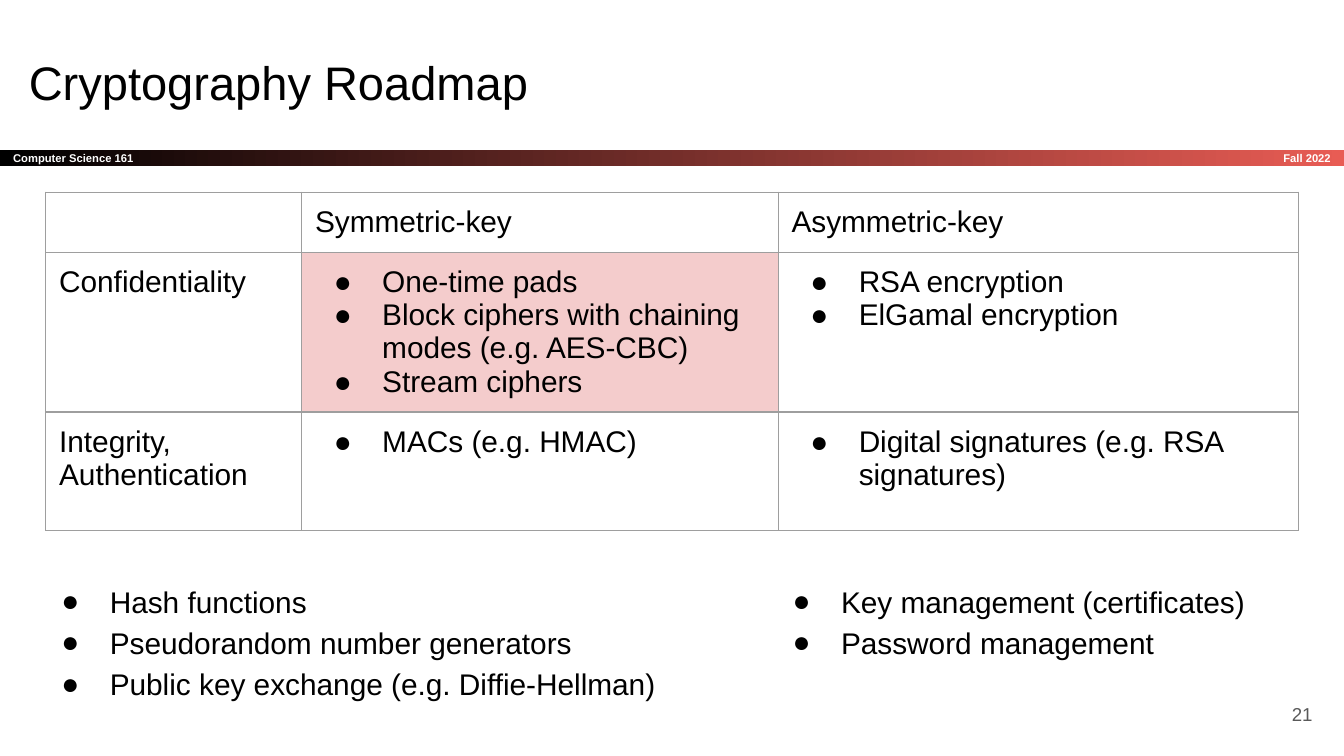
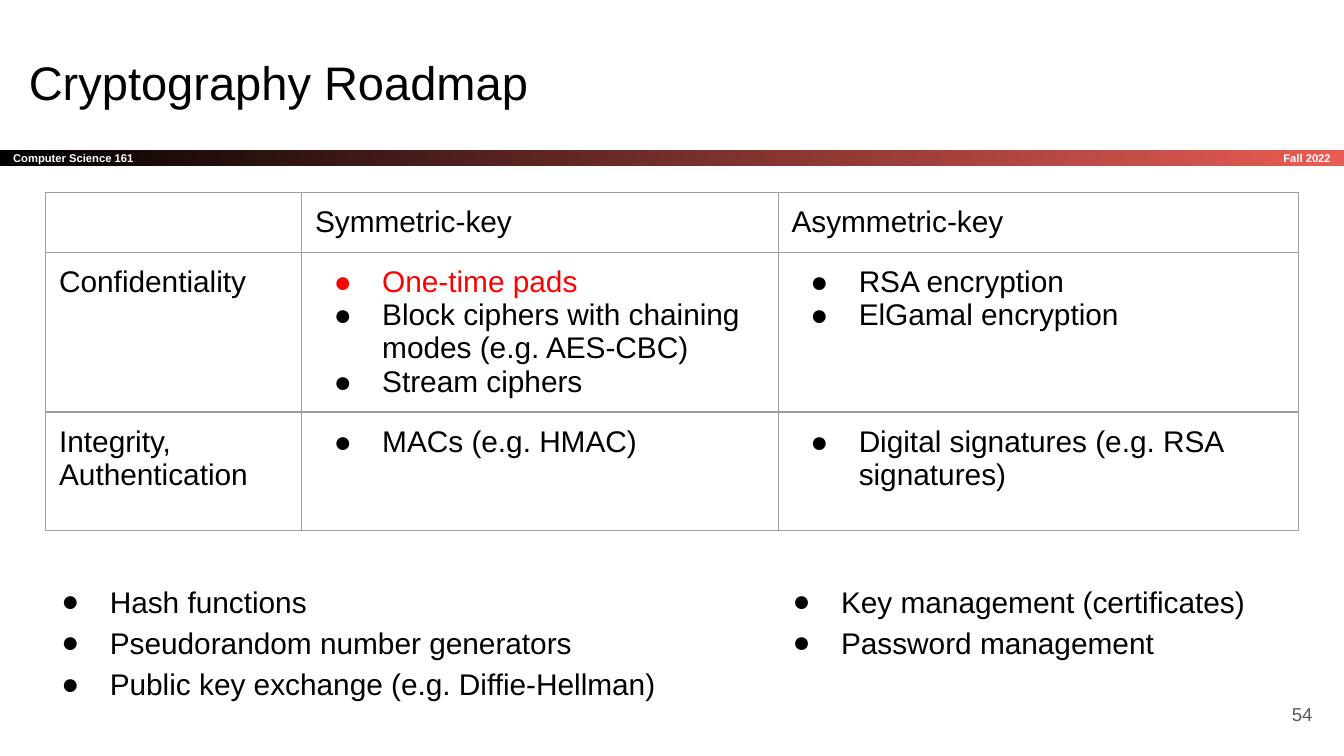
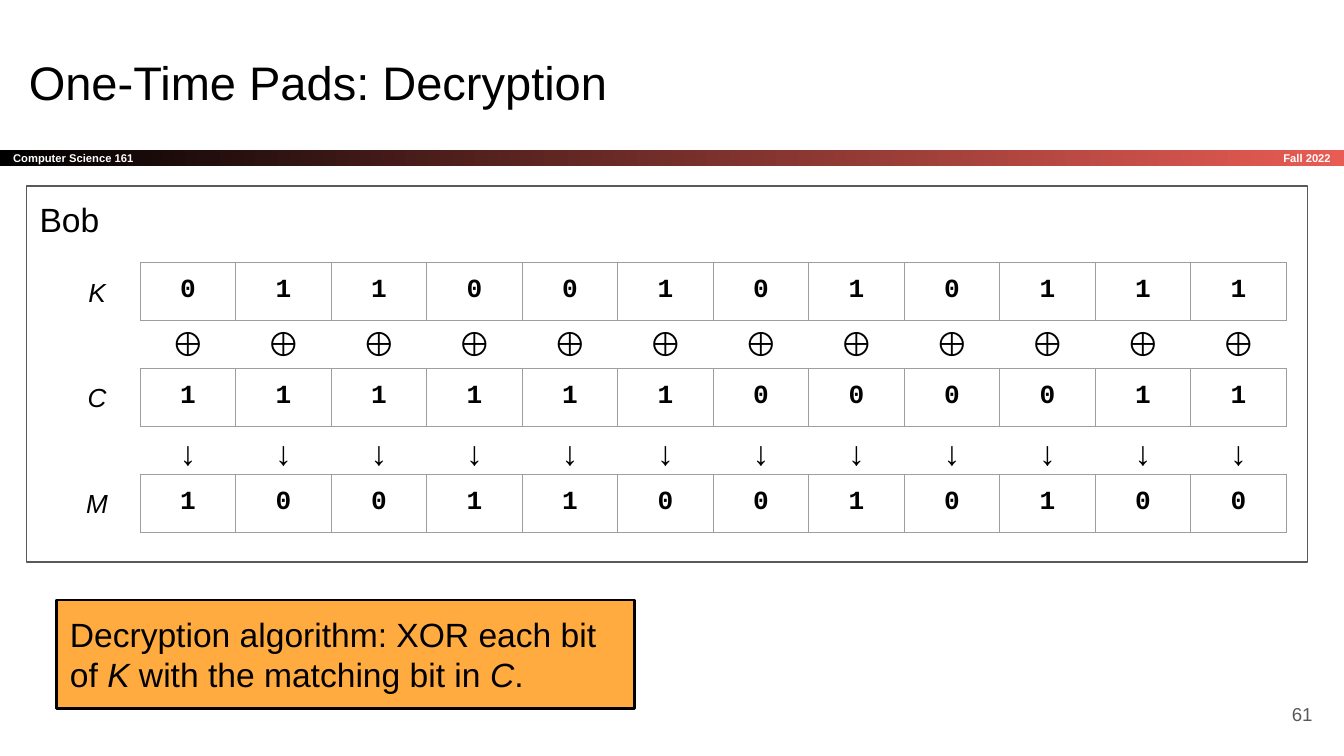
import lxml.etree
import pptx
import pptx.dml.color
import pptx.enum.shapes
import pptx.enum.text
import pptx.oxml.ns
import pptx.util

rgb = pptx.dml.color.RGBColor.from_string
qn = pptx.oxml.ns.qn
Pt = pptx.util.Pt
ALIGN = pptx.enum.text.PP_ALIGN
ANCHOR = pptx.enum.text.MSO_ANCHOR
FIT = pptx.enum.text.MSO_AUTO_SIZE
RECTANGLE = pptx.enum.shapes.MSO_SHAPE.RECTANGLE

BLACK, WHITE, GREY, RULE = "000000", "FFFFFF", "595959", "9E9E9E"
CORAL, RED, PINK, ORANGE = "E85C54", "FF0000", "F4CCCC", "FFAB40"
PLAIN_TABLE = "{2D5ABB26-0587-4C30-8999-92F81FD0307C}"

TITLE = {"name": "Arial", "size": Pt(25.2)}
BAND = {"name": "Arial", "size": Pt(6), "bold": True}
PAGE = {"name": "Arial", "size": Pt(10)}
LIST = {"name": "Arial", "size": Pt(16)}
LABEL = {"name": "Arial", "size": Pt(14)}
NOTE = {"name": "Arial", "size": Pt(18)}
BIT = {"name": "Courier New", "size": Pt(14), "bold": True}

deck = pptx.Presentation()
deck.slide_width = pptx.util.Inches(10)
deck.slide_height = deck.slide_width * 9 // 16
unit = deck.slide_width // 100


def write(holder, paragraphs, face, at=None, ink=BLACK, anchor=ANCHOR.TOP, fit=FIT.NONE,
          bullets=False, hot=(), italics=(), **spacing):
    frame = holder.text_frame
    if at:
        for side, length in zip(("left", "top", "width", "height"), at):
            setattr(holder, side, int(length * unit))
        frame.word_wrap = True
        frame.auto_size = fit
    padded = frame if at else holder
    padded.vertical_anchor = anchor
    for side in ("left", "top", "right", "bottom"):
        setattr(padded, f"margin_{side}", unit)
    for index, runs in enumerate(paragraphs):
        paragraph = frame.add_paragraph() if index else frame.paragraphs[0]
        colour = RED if runs[0] in hot else ink
        if bullets:
            properties = paragraph._p.get_or_add_pPr()
            properties.set("marL", str(5 * unit))
            properties.set("indent", str(int(-3.6 * unit)))
            bullet_colour = lxml.etree.SubElement(properties, qn("a:buClr"))
            lxml.etree.SubElement(bullet_colour, qn("a:srgbClr"), val=colour)
            lxml.etree.SubElement(properties, qn("a:buFont"), typeface="Arial")
            lxml.etree.SubElement(properties, qn("a:buChar"), char="●")
        layout = {"alignment": ALIGN.LEFT, "space_before": Pt(0), **spacing}
        for attribute, value in layout.items():
            setattr(paragraph, attribute, value)
        for text in runs:
            if text == "\n":
                paragraph.add_line_break()
                continue
            run = paragraph.add_run()
            run.text = text
            run.font.color.rgb = rgb(colour)
            for attribute, value in {**face, "italic": text in italics}.items():
                setattr(run.font, attribute, value)


def add_grid(slide, at, columns, rows, ruled=True):
    lengths = [int(length * unit) for length in at]
    holder = slide.shapes.add_table(len(rows), len(columns), *lengths)
    grid = holder.table
    grid.first_row = grid.horz_banding = False
    grid._tbl.tblPr.find(qn("a:tableStyleId")).text = PLAIN_TABLE
    for column, width in zip(grid.columns, columns):
        column.width = int(width * unit)
    for row, height in zip(grid.rows, rows):
        row.height = int(height * unit)
    holder.width, holder.height = lengths[2:]
    for cell in grid.iter_cells():
        if ruled:
            for edge in ("lnL", "lnR", "lnT", "lnB"):
                line = lxml.etree.SubElement(cell._tc.get_or_add_tcPr(), qn(f"a:{edge}"), w=str(Pt(0.75)))
                paint = lxml.etree.SubElement(line, qn("a:solidFill"))
                lxml.etree.SubElement(paint, qn("a:srgbClr"), val=RULE)
        cell.fill.background()
    return grid


slides = [deck.slides.add_slide(deck.slide_layouts[index]) for index in (1, 1, 5)]
titles = ["Cryptography Roadmap", "Cryptography Roadmap", "One-Time Pads: Decryption"]

course = slides[0].shapes.add_shape(RECTANGLE, 0, 0, 0, 0)
course.shadow.inherit = False
course.line.fill.background()
course.fill.gradient()
course.fill.gradient_angle = 0
for stop, colour in zip(course.fill.gradient_stops, (BLACK, CORAL)):
    stop.color.rgb = rgb(colour)
term = slides[0].shapes.add_textbox(0, 0, 0, 0)
write(course, [["Computer Science 161"]], BAND, (0, 11.15, 100, 1.2), WHITE, ANCHOR.MIDDLE)
write(term, [["Fall 2022"]], BAND, (83.4, 11.15, 16.6, 1.2), WHITE, ANCHOR.MIDDLE, alignment=ALIGN.RIGHT)
for number, part in enumerate((course, term), 20):
    part.element.nvSpPr.cNvPr.set("id", str(number))
    deck.slide_master.shapes.element.append(part.element)

for slide, title, page in zip(slides, titles, ("21", "54", "61")):
    write(slide.shapes.title, [[title]], TITLE, (1.14, 3, 93.2, 6.3))
    write(slide.shapes.add_textbox(0, 0, 0, 0), [[page]], PAGE, (92.65, 51, 6, 4.3), GREY,
          ANCHOR.MIDDLE, alignment=ALIGN.RIGHT)

roadmap = [
    [[], [["Symmetric-key"]], [["Asymmetric-key"]]],
    [[["Confidentiality"]],
     [["One-time pads"], ["Block ciphers with chaining modes (e.g. AES-CBC)"], ["Stream ciphers"]],
     [["RSA encryption"], ["ElGamal encryption"]]],
    [[["Integrity,", "\n", "Authentication"]],
     [["MACs (e.g. HMAC)"]],
     [["Digital signatures (e.g. RSA signatures)"]]],
]
primitives = [["Hash functions"], ["Pseudorandom number generators"],
              ["Public key exchange (e.g. Diffie-Hellman)"]]
management = [["Key management (certificates)"], ["Password management"]]

for slide, highlight, hot in zip(slides, (PINK, None), ((), ("One-time pads",))):
    schemes = add_grid(slide, (3.4, 14.3, 93.2, 26.1), (19.04, 35.46, 38.7), (4.1, 8.8, 8.8))
    for row, goals in enumerate(roadmap):
        for column, entries in enumerate(goals):
            write(schemes.cell(row, column), entries, LIST, bullets=row > 0 and column > 0, hot=hot)
    corner = schemes.cell(0, 0).text_frame.paragraphs[0]
    corner_face = lxml.etree.SubElement(corner._p, qn("a:endParaRPr"), sz="1600")
    lxml.etree.SubElement(corner_face, qn("a:latin"), typeface="Arial")
    if highlight:
        confidential = schemes.cell(1, 1)
        confidential.fill.solid()
        confidential.fill.fore_color.rgb = rgb(highlight)
    write(slide.placeholders[1], primitives, LIST, (2.17, 42.03, 47.8, 12.8), bullets=True, line_spacing=1.15)
    write(slide.shapes.add_textbox(0, 0, 0, 0), management, LIST, (56.6, 42.03, 37.7, 7.8),
          fit=FIT.SHAPE_TO_FIT_TEXT, bullets=True, line_spacing=1.15)

decryption = slides[2]
bob = decryption.shapes.add_shape(RECTANGLE, *[int(length * unit) for length in (1.96, 13.83, 95.35, 28)])
bob.shadow.inherit = False
bob.fill.background()
bob.line.color.rgb = rgb(GREY)
bob.line.width = Pt(0.75)
write(decryption.shapes.add_textbox(0, 0, 0, 0), [["Bob"]], NOTE, (1.96, 13.83, 8.4, 5),
      fit=FIT.SHAPE_TO_FIT_TEXT)

bit_columns = [85.32 / 12] * 12
words = {"K": "011001010111", "C": "111111000011", "M": "100110010100"}
for index, (word, bits) in enumerate(words.items()):
    top = 19.53 + 7.88 * index
    register = add_grid(decryption, (10.43, top, 32.8, 32.8), bit_columns, [4.3])
    for cell, bit in zip(register.iter_cells(), bits):
        write(cell, [[bit]], BIT, alignment=ALIGN.CENTER)
    write(decryption.shapes.add_textbox(0, 0, 0, 0), [[word]], LABEL, (4.23, top, 6, 4.4),
          fit=FIT.SHAPE_TO_FIT_TEXT, italics=words, alignment=ALIGN.CENTER)

for operator, top in (("⊕", 22.86), ("↓", 30.96)):
    operators = add_grid(decryption, (10.43, top, 32.8, 32.8), bit_columns, [4.3], ruled=False)
    for cell in operators.iter_cells():
        write(cell, [[operator]], NOTE, alignment=ALIGN.CENTER, line_spacing=1.15, space_after=Pt(12))

algorithm = decryption.shapes.add_shape(RECTANGLE, 0, 0, 0, 0)
algorithm.shadow.inherit = False
algorithm.fill.solid()
algorithm.fill.fore_color.rgb = rgb(ORANGE)
algorithm.line.color.rgb = rgb(BLACK)
algorithm.line.width = Pt(1.5)
sentence = ["Decryption algorithm: XOR each bit of ", "K", " with the matching bit in ", "C", "."]
write(algorithm, [sentence], NOTE, (4.22, 44.65, 43, 8.1), fit=FIT.SHAPE_TO_FIT_TEXT, italics=words)

deck.save("out.pptx")
